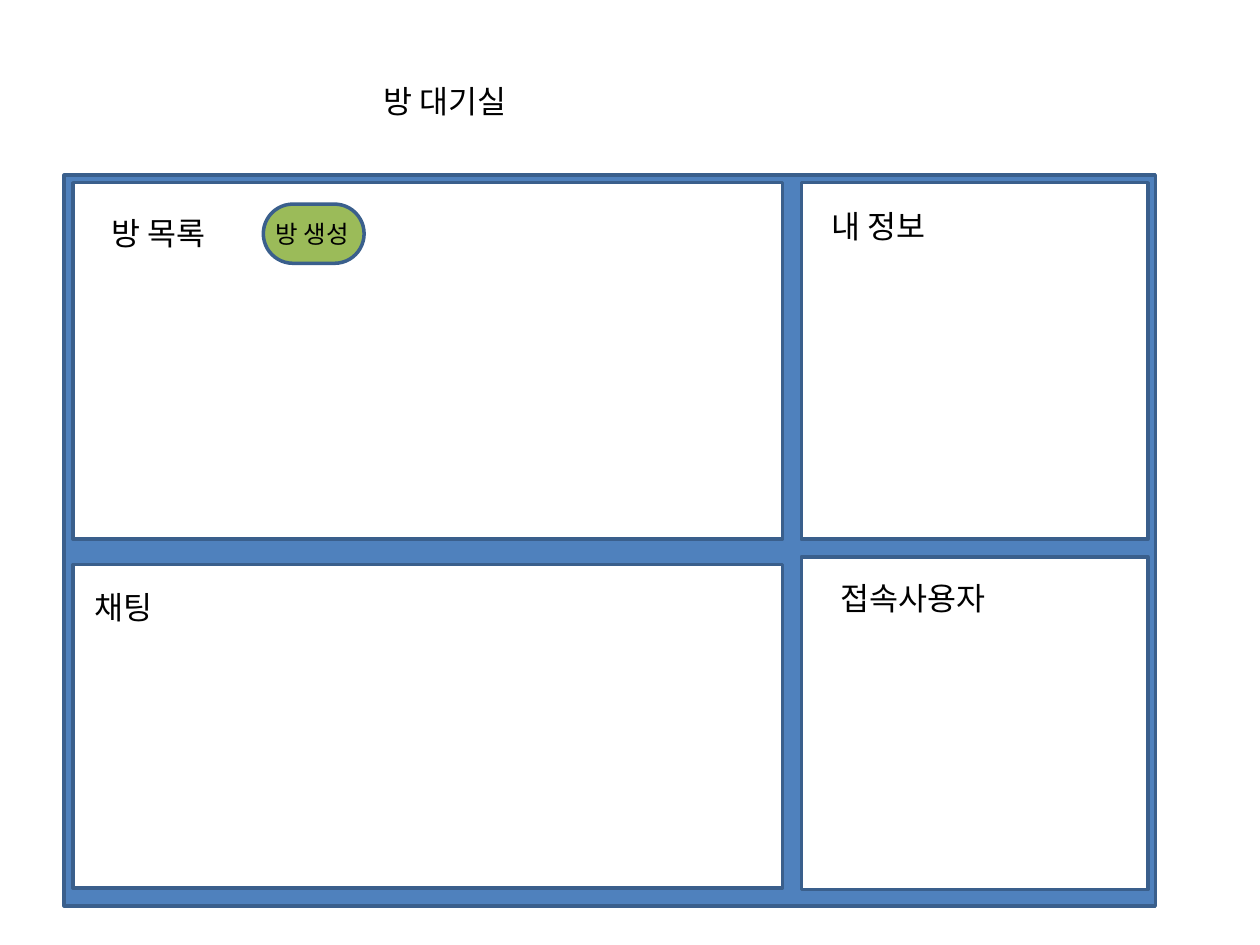
from dataclasses import dataclass

from pptx import Presentation
from pptx.dml.color import RGBColor
from pptx.enum.shapes import MSO_SHAPE as Shape
from pptx.enum.text import MSO_ANCHOR as Anchor, MSO_AUTO_SIZE as AutoSize, PP_ALIGN as Align
from pptx.oxml.ns import qn
from pptx.util import Inches, Pt

FONT = "Noto Sans CJK KR"
WHITE = RGBColor(0xFF, 0xFF, 0xFF)
BLACK = RGBColor(0x00, 0x00, 0x00)
BLUE = RGBColor(0x4F, 0x81, 0xBD)
NAVY = RGBColor(0x3A, 0x5F, 0x8C)
GREEN = RGBColor(0x9B, 0xBB, 0x59)
FRAME_FORMAT = {"word_wrap": True, "auto_size": AutoSize.NONE, "vertical_anchor": Anchor.TOP}
LEFT_COLUMN = (0.58, 5.63)
RIGHT_COLUMN = (6.36, 2.75)


@dataclass(frozen=True)
class Box:
    left: float
    top: float
    width: float
    height: float

    def lengths(self) -> tuple:
        """Return the position and size as lengths."""
        return tuple(map(Inches, (self.left, self.top, self.width, self.height)))


@dataclass(frozen=True)
class Panel:
    heading: str
    column: tuple[float, float]
    top: float
    height: float
    heading_box: Box


PANELS = (
    Panel("방 목록", LEFT_COLUMN, 1.45, 2.83, Box(0.79, 1.65, 1.45, 0.4)),
    Panel("내 정보", RIGHT_COLUMN, 1.45, 2.83, Box(6.5, 1.59, 1.26, 0.4)),
    Panel("채팅", LEFT_COLUMN, 4.48, 2.57, Box(0.65, 4.62, 1.13, 0.34)),
    Panel("접속사용자", RIGHT_COLUMN, 4.42, 2.64, Box(6.57, 4.55, 1.82, 0.4)),
)


def write(holder, wording: str, size: int = 18) -> None:
    """Put one formatted line of text in a text holder."""
    frame = holder.text_frame
    for attribute, value in FRAME_FORMAT.items():
        setattr(frame, attribute, value)
    paragraph = frame.paragraphs[0]
    paragraph.alignment = Align.LEFT
    run = paragraph.add_run()
    run.text = wording
    for attribute, value in {"name": FONT, "size": Pt(size)}.items():
        setattr(run.font, attribute, value)
    run.font.color.rgb = BLACK
    east_asian = run.font._element.makeelement(qn("a:ea"), {"typeface": FONT})
    run.font._element.append(east_asian)


def draw_label(slide, box: Box, wording: str, size: int = 18) -> None:
    """Add a text box with one line of text."""
    write(slide.shapes.add_textbox(*box.lengths()), wording, size)


def draw_block(slide, kind: Shape, box: Box, fill: RGBColor, rounding: float | None = None) -> None:
    """Add a filled block with the common outline."""
    block = slide.shapes.add_shape(kind, *box.lengths())
    block.shadow.inherit = False
    block.fill.solid()
    block.fill.fore_color.rgb = fill
    block.line.color.rgb = NAVY
    block.line.width = Pt(2)
    if rounding is not None:
        block.adjustments[0] = rounding


def build() -> None:
    """Build the waiting room layout slide."""
    deck = Presentation()
    deck.slide_width, deck.slide_height = Inches(10), Inches(7.5)
    slide = deck.slides.add_slide(deck.slide_layouts.get_by_name("Title Only"))

    title = slide.shapes.title
    title.left, title.top, title.width, title.height = Box(2.94, 0.6, 2.84, 0.4).lengths()
    write(title, "방 대기실")

    draw_block(slide, Shape.RECTANGLE, Box(0.51, 1.39, 8.66, 5.8), BLUE)
    for panel in PANELS:
        left, width = panel.column
        draw_block(slide, Shape.ROUNDED_RECTANGLE, Box(left, panel.top, width, panel.height), WHITE, 0)
        draw_label(slide, panel.heading_box, panel.heading)

    draw_block(slide, Shape.ROUNDED_RECTANGLE, Box(2.09, 1.62, 0.8, 0.47), GREEN, 0.5)
    draw_label(slide, Box(2.09, 1.69, 0.87, 0.34), "방 생성", 14)
    deck.save("out.pptx")


build()
